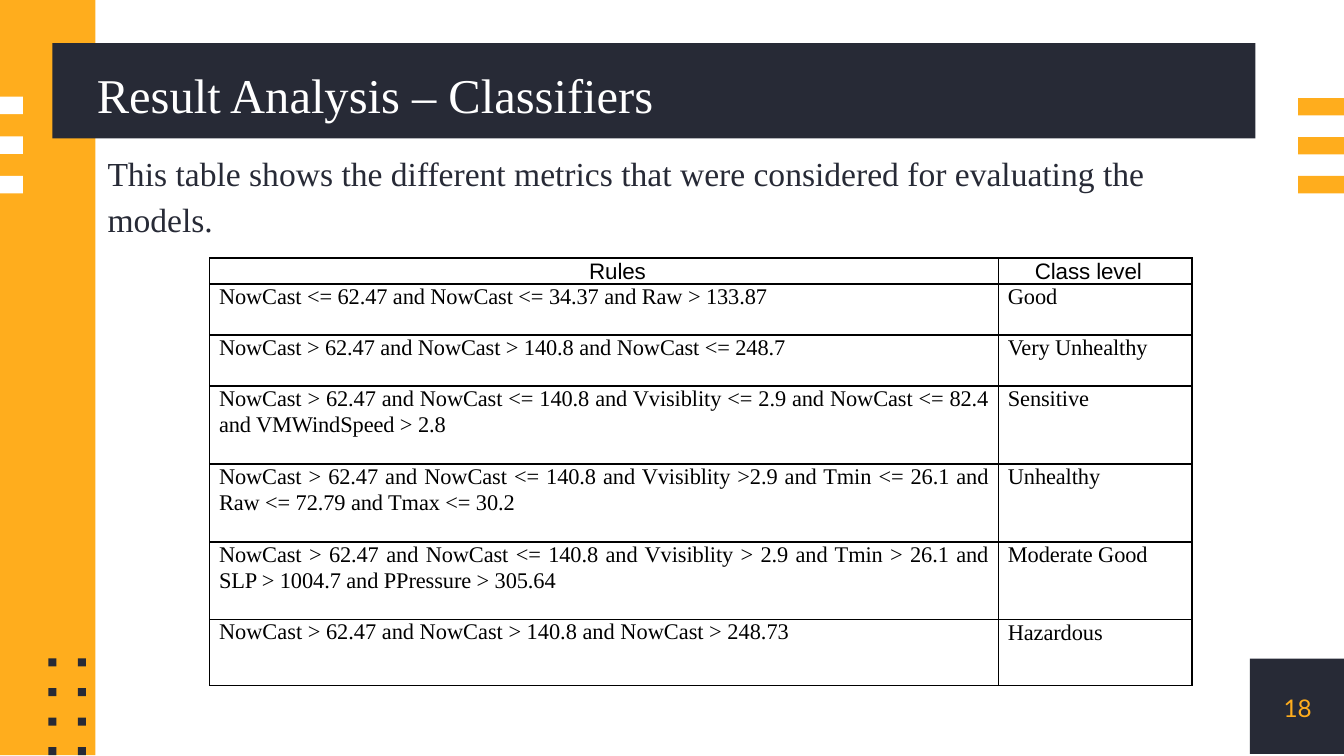
from dataclasses import dataclass

import pptx
import pptx.dml.color
import pptx.enum.shapes
import pptx.enum.text
import pptx.oxml
import pptx.oxml.ns
import pptx.util
from pptx.util import Inches, Pt

ALIGN = pptx.enum.text.PP_ALIGN
DARK, AMBER, WHITE, BLACK = "272A36", "FFAD1D", "FFFFFF", "000000"
SERIF = "Times New Roman"
WIDTH = 10
HEIGHT = WIDTH * 9 / 16


@dataclass
class Bars:
    """Equal rectangles stacked downwards at a fixed step."""
    left: float
    top: float
    width: float
    height: float
    color: str
    count: int = 1
    step: float = 0


@dataclass
class Rule:
    condition: str
    level: str
    height: float


BARS = [
    Bars(9.3, 4.9, 0.71, 0.71, DARK),
    Bars(0, -0.01, 0.71, 5.63, AMBER),
    Bars(0.39, 0.32, 8.95, 0.71, DARK),
    Bars(0, 0.72, 0.17, 0.13, WHITE, 3, 0.295),
    Bars(0.36, 4.9, 0.06, 0.06, DARK, 4, 0.22),
    Bars(0.58, 4.9, 0.06, 0.06, DARK, 4, 0.22),
    Bars(9.66, 0.73, 0.34, 0.13, AMBER, 3, 0.29),
]

RULES = [
    Rule("NowCast <= 62.47 and NowCast <= 34.37 and Raw > 133.87", "Good", 0.38),
    Rule("NowCast > 62.47 and NowCast > 140.8 and NowCast <= 248.7", "Very Unhealthy", 0.38),
    Rule("NowCast > 62.47 and NowCast <= 140.8 and Vvisiblity <= 2.9 and "
         "NowCast <= 82.4 and VMWindSpeed > 2.8", "Sensitive", 0.58),
    Rule("NowCast > 62.47 and NowCast <= 140.8 and Vvisiblity >2.9 and "
         "Tmin <= 26.1 and Raw <= 72.79 and Tmax <= 30.2", "Unhealthy", 0.58),
    Rule("NowCast > 62.47 and NowCast <= 140.8 and Vvisiblity > 2.9 and "
         "Tmin > 26.1 and SLP > 1004.7 and PPressure > 305.64", "Moderate Good", 0.58),
    Rule("NowCast > 62.47 and NowCast > 140.8 and NowCast > 248.73", "Hazardous", 0.49),
]


def rgb(color: str) -> pptx.dml.color.RGBColor:
    return pptx.dml.color.RGBColor.from_string(color)


def draw_bars(s, bars: Bars) -> None:
    for i in range(bars.count):
        sp = s.shapes.add_shape(
            pptx.enum.shapes.MSO_SHAPE.RECTANGLE, Inches(bars.left),
            Inches(bars.top + i * bars.step), Inches(bars.width), Inches(bars.height))
        sp.shadow.inherit = False
        sp.fill.solid()
        sp.fill.fore_color.rgb = rgb(bars.color)
        sp.line.fill.background()


def write(tf, text: str, size: float, font: str, color: str, align=ALIGN.LEFT):
    """Fill a text frame with one formatted paragraph and return it."""
    tf.text = text
    p = tf.paragraphs[0]
    p.alignment = align
    r = p.runs[0]
    r.font.size = Pt(size)
    r.font.name = font
    r.font.color.rgb = rgb(color)
    return p


def format_box(sp, anchor) -> None:
    tf = sp.text_frame
    tf.word_wrap = True
    tf.auto_size = pptx.enum.text.MSO_AUTO_SIZE.NONE
    tf.vertical_anchor = anchor
    tf.margin_left = tf.margin_right = tf.margin_top = tf.margin_bottom = 0


def indent(p, left: float = 0, first: float = 0) -> None:
    pPr = p._p.get_or_add_pPr()
    pPr.set("marL", str(Inches(left)))
    pPr.set("indent", str(Inches(first)))


def add_borders(cell) -> None:
    tcPr = cell._tc.get_or_add_tcPr()
    for i, side in enumerate(("lnL", "lnR", "lnT", "lnB")):
        tcPr.insert(i, pptx.oxml.parse_xml(
            f'<a:{side} {pptx.oxml.ns.nsdecls("a")} w="{Pt(0.75)}"><a:solidFill>'
            f'<a:srgbClr val="{BLACK}"/></a:solidFill></a:{side}>'))


def fill_cell(cell, text: str, font: str, align, first: float, tight: bool = True) -> None:
    cell.margin_left = cell.margin_right = Inches(0.07)
    cell.margin_top = cell.margin_bottom = 0
    cell.fill.background()
    add_borders(cell)
    p = write(cell.text_frame, text, 12, font, BLACK, align)
    indent(p, 0, first)
    if tight:
        p.line_spacing = 1.03
        p.space_after = Pt(6)
        p.runs[0].font._element.set("spc", "-5")


def draw_table(s, rules: list[Rule]) -> None:
    heights = [0.18] + [rule.height for rule in rules]
    table = s.shapes.add_table(len(heights), 2, Inches(1.56), Inches(1.92),
                               Inches(7.31), Inches(sum(heights))).table
    table.first_row = table.horz_banding = False
    for column, width in zip(table.columns, (5.87, 1.44)):
        column.width = Inches(width)
    for row, height in zip(table.rows, heights):
        row.height = Inches(height)
    fill_cell(table.cell(0, 0), "Rules", "Arial", ALIGN.CENTER, 0.2)
    fill_cell(table.cell(0, 1), "Class level", "Arial", ALIGN.JUSTIFY, 0.2)
    for i, rule in enumerate(rules, 1):
        fill_cell(table.cell(i, 0), rule.condition, SERIF, ALIGN.JUSTIFY, 0,
                  tight=i < len(rules))
        fill_cell(table.cell(i, 1), rule.level, SERIF, ALIGN.JUSTIFY, 0)


def main() -> None:
    prs = pptx.Presentation()
    prs.slide_width, prs.slide_height = Inches(WIDTH), Inches(HEIGHT)
    s = prs.slides.add_slide(prs.slide_layouts[5])
    anchors = pptx.enum.text.MSO_ANCHOR

    # Background decoration
    for bars in BARS:
        draw_bars(s, bars)

    # Title, brought in front of its banner
    title = s.shapes.title
    title.left, title.top = Inches(0.72), Inches(0.43)
    title.width, title.height = Inches(8.58), Inches(0.59)
    format_box(title, anchors.MIDDLE)
    p = write(title.text_frame, "Result Analysis – Classifiers", 26, SERIF, WHITE)
    p.line_spacing = 0.9
    title.element.getparent().append(title.element)

    # Slide number
    number = s.shapes.add_textbox(Inches(9.3), Inches(4.91), Inches(0.71), Inches(0.71))
    format_box(number, anchors.MIDDLE)
    write(number.text_frame, "18", 13, "Lato", AMBER, ALIGN.CENTER)

    # Classification rules
    draw_table(s, RULES)

    # Introduction
    intro = s.shapes.add_textbox(Inches(0.72), Inches(1.09), Inches(8.58), Inches(0.79))
    format_box(intro, anchors.TOP)
    p = write(intro.text_frame, "This table shows the different metrics that were "
              "considered for evaluating the models.", 18, SERIF, DARK)
    p.line_spacing = 1.15
    p.space_before = Pt(6)
    indent(p, 0.08)

    prs.save("out.pptx")


if __name__ == "__main__":
    main()
